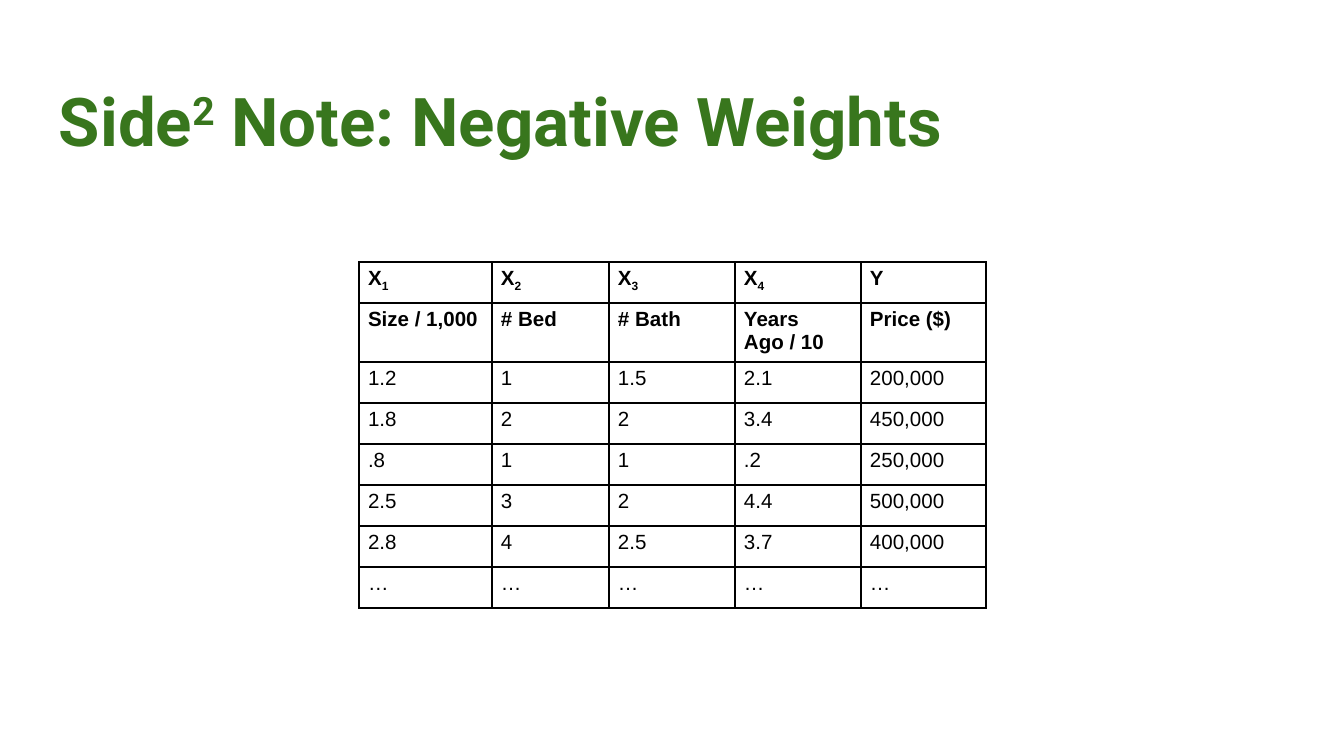
from pptx import Presentation, util as u
from pptx.dml.color import RGBColor
from pptx.enum import text
from pptx.oxml import parse_xml
from pptx.oxml.ns import nsdecls

TITLE = [("Side", 0), ("2", 30), (" Note: Negative Weights", 0)]
HEADS = [
    [[("X", 0), (str(n), -25)] for n in range(1, 5)] + [[("Y", 0)]],
    ["Size / 1,000", "# Bed", "# Bath", "Years Ago / 10", "Price ($)"],
]
HOMES = [
    ["1.2", "1", "1.5", "2.1", "200,000"],
    ["1.8", "2", "2", "3.4", "450,000"],
    [".8", "1", "1", ".2", "250,000"],
    ["2.5", "3", "2", "4.4", "500,000"],
    ["2.8", "4", "2.5", "3.7", "400,000"],
    ["…"] * 5,
]
ROWS = HEADS + HOMES
COLS = [133, 117, 126, 126, 125]
HIGHS = [41, 57] + [41] * len(HOMES)
COLORS = {"title": "38761D", "ink": "000000", "paper": "FFFFFF"}


def px(n):
    return u.Emu(round(n * 914400 / 134.4))


def write(para, runs, font, size, color, bold):
    for word, shift in runs:
        run = para.add_run()
        run.text = word
        if shift:
            run.font._element.set("baseline", str(shift * 1000))
    para.font.name = font
    para.font.size = u.Pt(size)
    para.font.bold = bold
    para.font.color.rgb = RGBColor.from_string(COLORS[color])


def pad(box, side, edge):
    box.margin_left = box.margin_right = px(side)
    box.margin_top = box.margin_bottom = px(edge)


def border(cell):
    props = cell._tc.get_or_add_tcPr()
    for i, side in enumerate(("lnL", "lnR", "lnT", "lnB")):
        props.insert(i, parse_xml(
            f'<a:{side} {nsdecls("a")} w="{u.Pt(1)}"><a:solidFill>'
            f'<a:srgbClr val="{COLORS["ink"]}"/></a:solidFill></a:{side}>'))


deck = Presentation()
deck.slide_width, deck.slide_height = px(1344), px(756)
slide = deck.slides.add_slide(deck.slide_layouts[6])

frame = slide.shapes.add_textbox(px(46), px(66), px(1252), px(84)).text_frame
frame.word_wrap = True
frame.vertical_anchor = text.MSO_ANCHOR.TOP
pad(frame, 13, 13)
write(frame.paragraphs[0], TITLE, "Roboto", 36, "title", True)

table = slide.shapes.add_table(
    len(ROWS), len(COLS), px(359), px(262), px(sum(COLS)), px(sum(HIGHS))).table
table.first_row = table.horz_banding = False
for col, wide in zip(table.columns, COLS):
    col.width = px(wide)
for r, (row, high) in enumerate(zip(ROWS, HIGHS)):
    table.rows[r].height = px(high)
    for c, item in enumerate(row):
        cell = table.cell(r, c)
        pad(cell, 9, 5)
        cell.fill.solid()
        cell.fill.fore_color.rgb = RGBColor.from_string(COLORS["paper"])
        border(cell)
        runs = [(item, 0)] if isinstance(item, str) else item
        write(cell.text_frame.paragraphs[0], runs, "Arial", 11, "ink",
              r < len(HEADS))

deck.save("out.pptx")
